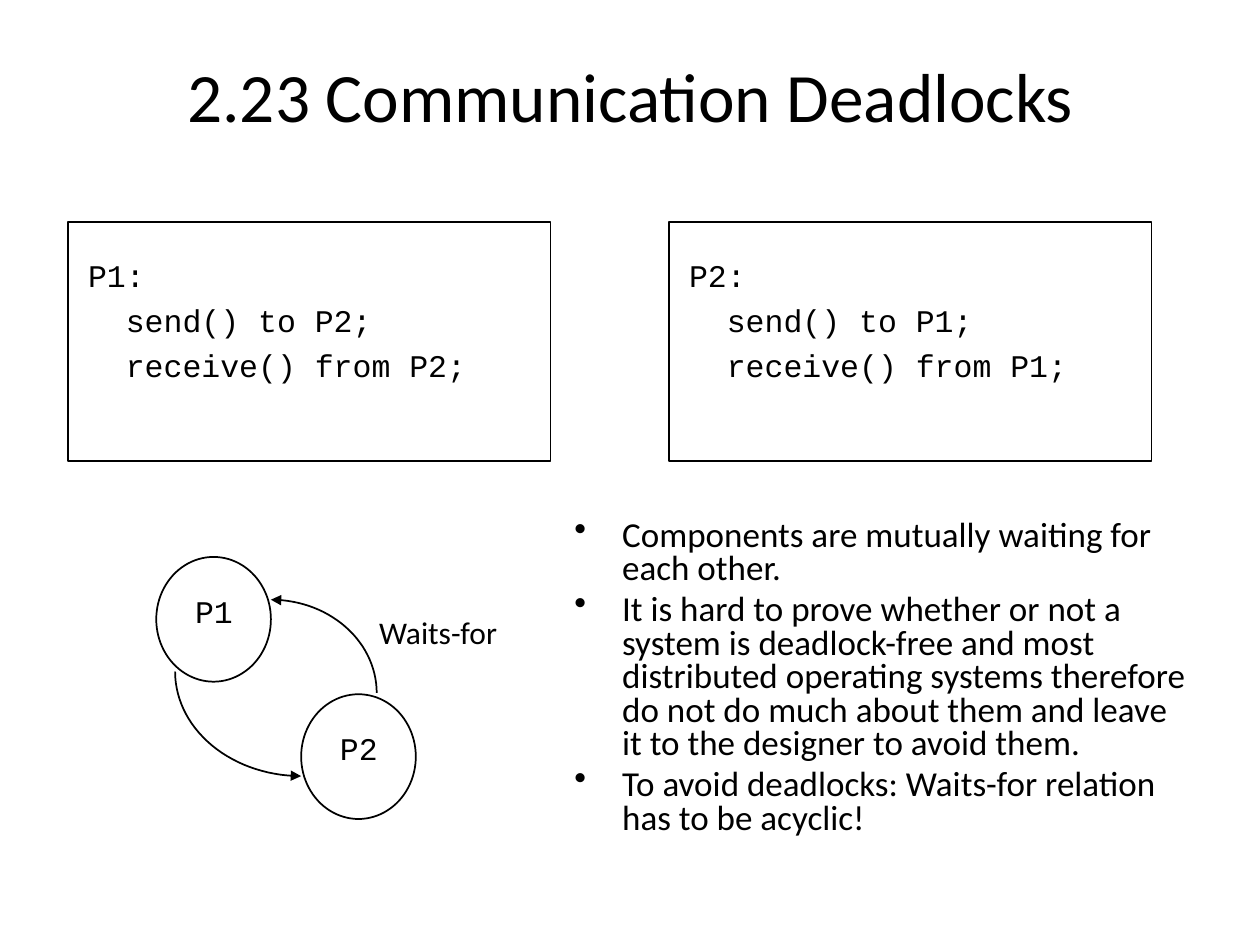
from dataclasses import dataclass
from math import cos, radians, sin

from pptx import Presentation
from pptx.dml.color import RGBColor
from pptx.enum.shapes import MSO_SHAPE
from pptx.enum.text import MSO_ANCHOR, MSO_AUTO_SIZE, PP_ALIGN
from pptx.oxml.ns import qn
from pptx.oxml.xmlchemy import OxmlElement
from pptx.util import Inches, Pt


@dataclass(frozen=True)
class Theme:
    ink: RGBColor = RGBColor(0, 0, 0)
    sans: str = "Calibri"
    mono: str = "Courier New"
    title: float = 39.6
    body: float = 20
    code: float = 18
    line: float = 1


THEME = Theme()
BOX = (3.83, 1.9)
NODE = (0.91, 0.99)
POINTS = (
    "Components are mutually waiting for each other.",
    "It is hard to prove whether or not a system is deadlock-free and most "
    "distributed operating systems therefore do not do much about them and "
    "leave it to the designer to avoid them.",
    "To avoid deadlocks: Waits-for relation has to be acyclic!",
)


def put(item, values):
    for name, value in values.items():
        setattr(item, name, value)


def place(shape, left, top, width, height):
    put(shape, {"left": Inches(left), "top": Inches(top),
                "width": Inches(width), "height": Inches(height)})


def write(para, text, face, size, gap=0, **form):
    para.text = text
    put(para, {"space_before": Pt(gap), **form})
    put(para.font, {"name": face, "size": Pt(size)})
    para.font.color.rgb = THEME.ink


def indent(para, left, first=0):
    props = para._p.get_or_add_pPr()
    props.set("marL", str(Inches(left)))
    props.set("indent", str(Inches(first)))
    return props


def paras(frame, count):
    return [frame.paragraphs[0]] + [frame.add_paragraph() for _ in range(count - 1)]


def outline(shape):
    shape.shadow.inherit = False
    shape.fill.background()
    shape.line.color.rgb = THEME.ink
    shape.line.width = Pt(THEME.line)


def draw(shapes, kind, left, top, size):
    shape = shapes.add_shape(kind, *map(Inches, (left, top, *size)))
    outline(shape)


def label(shapes, left, top, width, height, lines, face=THEME.mono):
    frame = shapes.add_textbox(*map(Inches, (left, top, width, height))).text_frame
    put(frame, {"word_wrap": False, "auto_size": MSO_AUTO_SIZE.SHAPE_TO_FIT_TEXT})
    for num, (para, text) in enumerate(zip(paras(frame, len(lines)), lines)):
        write(para, text, face, THEME.code, 4.3)
        indent(para, 0.3 if num else 0)


def arc(shapes, mid, radii, start, steps=30):
    turns = [radians(start + 90 * step / steps) for step in range(steps + 1)]
    dots = [(Inches(mid[0] + radii[0] * cos(turn)),
             Inches(mid[1] + radii[1] * sin(turn))) for turn in turns]
    path = shapes.build_freeform(*dots[0])
    path.add_line_segments(dots[1:], close=False)
    shape = path.convert_to_shape()
    outline(shape)
    head = OxmlElement("a:headEnd")
    head.set("type", "triangle")
    shape._element.spPr.find(qn("a:ln")).append(head)


def title(slide, text):
    shape = slide.shapes.title
    place(shape, 0.08, 0.42, 9.85, 0.67)
    put(shape.text_frame, {"vertical_anchor": MSO_ANCHOR.MIDDLE,
                           "auto_size": MSO_AUTO_SIZE.NONE})
    write(shape.text_frame.paragraphs[0], text, THEME.sans, THEME.title,
          alignment=PP_ALIGN.CENTER)


def code(shapes, left, name, peer):
    draw(shapes, MSO_SHAPE.RECTANGLE, left, 1.76, BOX)
    label(shapes, left + 0.06, 1.98, 3.22, 1.13,
          (f"{name}:", f"send() to {peer};", f"receive() from {peer};"))


def graph(shapes):
    for name, left, top in (("P2", 2.39, 5.51), ("P1", 1.24, 4.42)):
        draw(shapes, MSO_SHAPE.OVAL, left, top, NODE)
        label(shapes, left + 0.21, top + 0.23, 0.5, 0.4, (name,))
    arc(shapes, (2.15, 5.5), (0.84, 0.74), -90)
    arc(shapes, (2.39, 5.33), (1, 0.83), 90)
    label(shapes, 2.91, 4.82, 1.15, 0.4, ("Waits-for",), THEME.sans)


def bullets(shapes, lines):
    frame = shapes.add_textbox(*map(Inches, (4.46, 4.08, 5.07, 2.92))).text_frame
    frame.word_wrap = True
    for para, text in zip(paras(frame, len(lines)), lines):
        write(para, text, THEME.sans, THEME.body, 4, line_spacing=0.8)
        mark = OxmlElement("a:buChar")
        mark.set("char", "•")
        indent(para, 0.38, -0.38).append(mark)


def main():
    deck = Presentation()
    put(deck, {"slide_width": Inches(10), "slide_height": Inches(7.5)})
    slide = deck.slides.add_slide(deck.slide_layouts[5])
    title(slide, "2.23 Communication Deadlocks")
    code(slide.shapes, 0.54, "P1", "P2")
    code(slide.shapes, 5.31, "P2", "P1")
    graph(slide.shapes.add_group_shape().shapes)
    bullets(slide.shapes, POINTS)
    deck.save("out.pptx")


if __name__ == "__main__":
    main()
